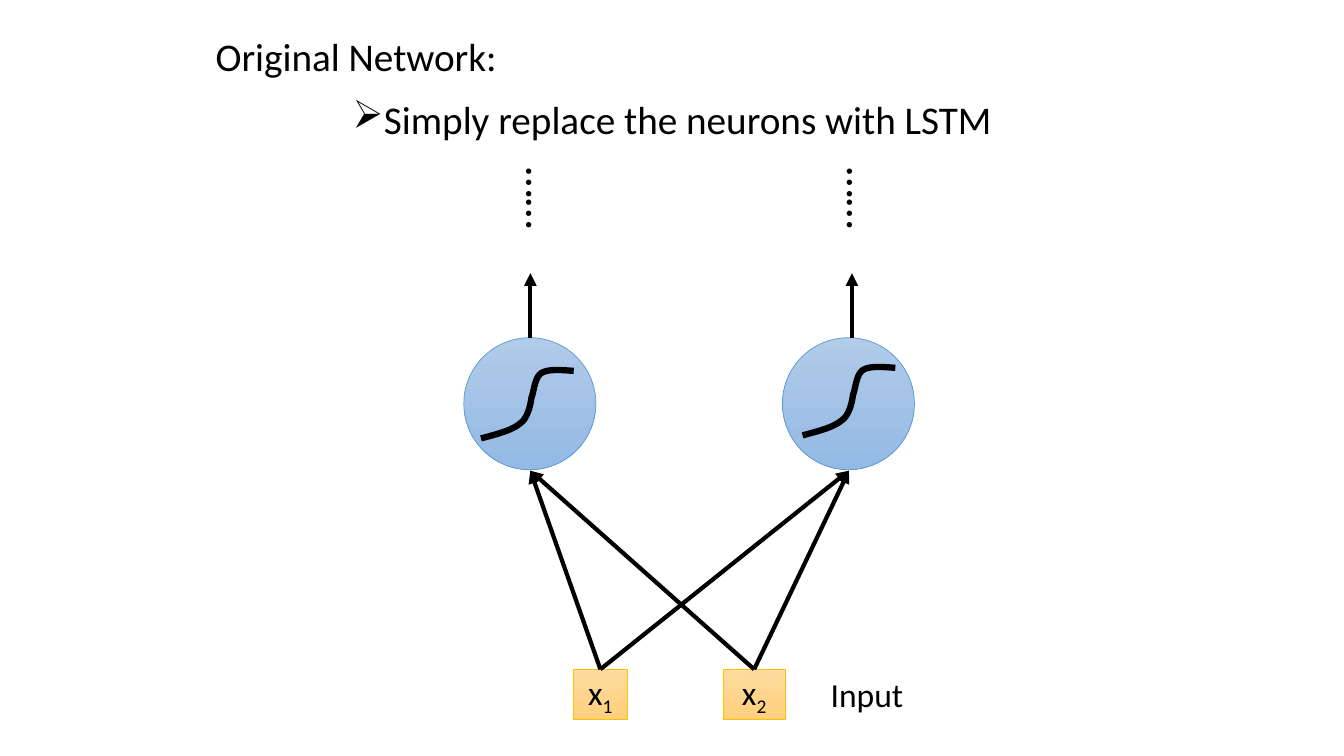
from lxml.etree import SubElement
from pptx import Presentation
from pptx.dml.color import RGBColor
from pptx.enum.shapes import MSO_CONNECTOR as Connector, MSO_SHAPE as Shape
from pptx.enum.text import MSO_ANCHOR as Anchor, MSO_AUTO_SIZE as AutoSize, PP_ALIGN as Align
from pptx.oxml.ns import qn
from pptx.util import Inches, Pt

BLACK = "000000"
BLUE = ("B1CBE9", "93B9E4", "5B9BD5")
ORANGE = ("FFDB9E", "FFD07C", "FFC000")
SIGMOID_START = (4.77, 4.35)
SIGMOID_CURVES = [
    ((4.92, 4.31), (5.08, 4.27), (5.16, 4.2)),
    ((5.25, 4.14), (5.27, 3.95), (5.27, 3.95)),
    ((5.3, 3.87), (5.3, 3.75), (5.37, 3.7)),
    ((5.44, 3.66), (5.56, 3.67), (5.69, 3.68)),
]
CURVE_STEPS = 12


def color(value):
    return RGBColor.from_string(value)


def write(owner, text, size=24, align=Align.LEFT, anchor=Anchor.TOP, subscript=None, bullet=None):
    frame = owner.text_frame
    frame.word_wrap = True
    frame.auto_size = AutoSize.SHAPE_TO_FIT_TEXT
    frame.vertical_anchor = anchor
    paragraph = frame.paragraphs[0]
    paragraph.alignment = align
    if bullet:
        properties = paragraph._p.get_or_add_pPr()
        properties.set("marL", str(Inches(0.31)))
        properties.set("indent", str(-Inches(0.31)))
        SubElement(properties, qn("a:buChar")).set("char", bullet)
    for part in filter(None, (text, subscript)):
        run = paragraph.add_run()
        run.text = part
        run.font.size = Pt(size)
        run.font.name = "Calibri"
        run.font.color.rgb = color(BLACK)
        if part is subscript:
            run.font._element.set("baseline", "-25000")


def add_label(slide, text, left, top, width, height, rotation=0, **style):
    label = slide.shapes.add_textbox(Inches(left), Inches(top), Inches(width), Inches(height))
    label.rotation = rotation
    write(label, text, **style)


def add_node(slide, kind, left, top, width, height, palette):
    node = slide.shapes.add_shape(kind, Inches(left), Inches(top), Inches(width), Inches(height))
    node.shadow.inherit = False
    node.fill.gradient()
    node.fill.gradient_angle = 270
    for stop, shade in zip(node.fill.gradient_stops, palette):
        stop.color.rgb = color(shade)
    node.line.color.rgb = color(palette[2])
    node.line.width = Pt(0.5)
    return node


def add_arrow(slide, start, end, source=None):
    arrow = slide.shapes.add_connector(Connector.STRAIGHT, *map(Inches, start + end))
    if source is not None:
        arrow.begin_connect(source, 0)
    arrow.line.color.rgb = color(BLACK)
    arrow.line.width = Pt(3)
    SubElement(arrow.line._get_or_add_ln(), qn("a:tailEnd")).set("type", "triangle")
    SubElement(arrow._element.spPr, qn("a:effectLst"))


def bezier(points, t):
    weights = ((1 - t) ** 3, 3 * t * (1 - t) ** 2, 3 * t ** 2 * (1 - t), t ** 3)
    return tuple(sum(w * point[axis] for w, point in zip(weights, points)) for axis in (0, 1))


def add_sigmoid(slide, dx, dy):
    points = [SIGMOID_START]
    for curve in SIGMOID_CURVES:
        controls = (points[-1], *curve)
        points += [bezier(controls, step / CURVE_STEPS) for step in range(1, CURVE_STEPS + 1)]
    (x, y), *rest = [(Inches(px + dx), Inches(py + dy)) for px, py in points]
    builder = slide.shapes.build_freeform(x, y)
    builder.add_line_segments(rest, close=False)
    sigmoid = builder.convert_to_shape()
    sigmoid.shadow.inherit = False
    sigmoid.fill.background()
    sigmoid.line.color.rgb = color(BLACK)
    sigmoid.line.width = Pt(4.5)


def main():
    deck = Presentation()
    deck.slide_width, deck.slide_height = Inches(13.33), Inches(7.5)
    slide = deck.slides.add_slide(deck.slide_layouts[6])

    add_label(slide, "Original Network:", 2.04, 0.27, 3.22, 0.57, size=28)
    add_label(slide, "Simply replace the neurons with LSTM", 3.4, 0.9, 6.83, 0.57, size=28, bullet="➢")

    inputs = []
    for index, left, width in (("1", 5.69, 0.53), ("2", 7.17, 0.62)):
        box = add_node(slide, Shape.RECTANGLE, left, 6.64, width, 0.5, ORANGE)
        write(box, "x", align=Align.CENTER, anchor=Anchor.MIDDLE, subscript=index)
        inputs.append((box, left + width / 2))
    add_label(slide, "Input", 8.14, 6.64, 1.87, 0.5)

    neurons = ((4.6, 5.26, 5.26, 4.8, 0, 0), (7.76, 8.42, 8.45, 7.98, 3.19, -0.03))
    for left, bottom_x, output_x, dots_left, dx, dy in neurons:
        add_node(slide, Shape.OVAL, left, 3.35, 1.31, 1.31, BLUE)
        add_sigmoid(slide, dx, dy)
        add_arrow(slide, (output_x, 3.35), (output_x, 2.71))
        add_label(slide, "……", dots_left, 1.65, 1.19, 0.64, rotation=90, size=32, align=Align.CENTER)
        for box, input_x in inputs:
            add_arrow(slide, (input_x, 6.64), (bottom_x, 4.67), source=box)

    deck.save("out.pptx")


if __name__ == "__main__":
    main()
